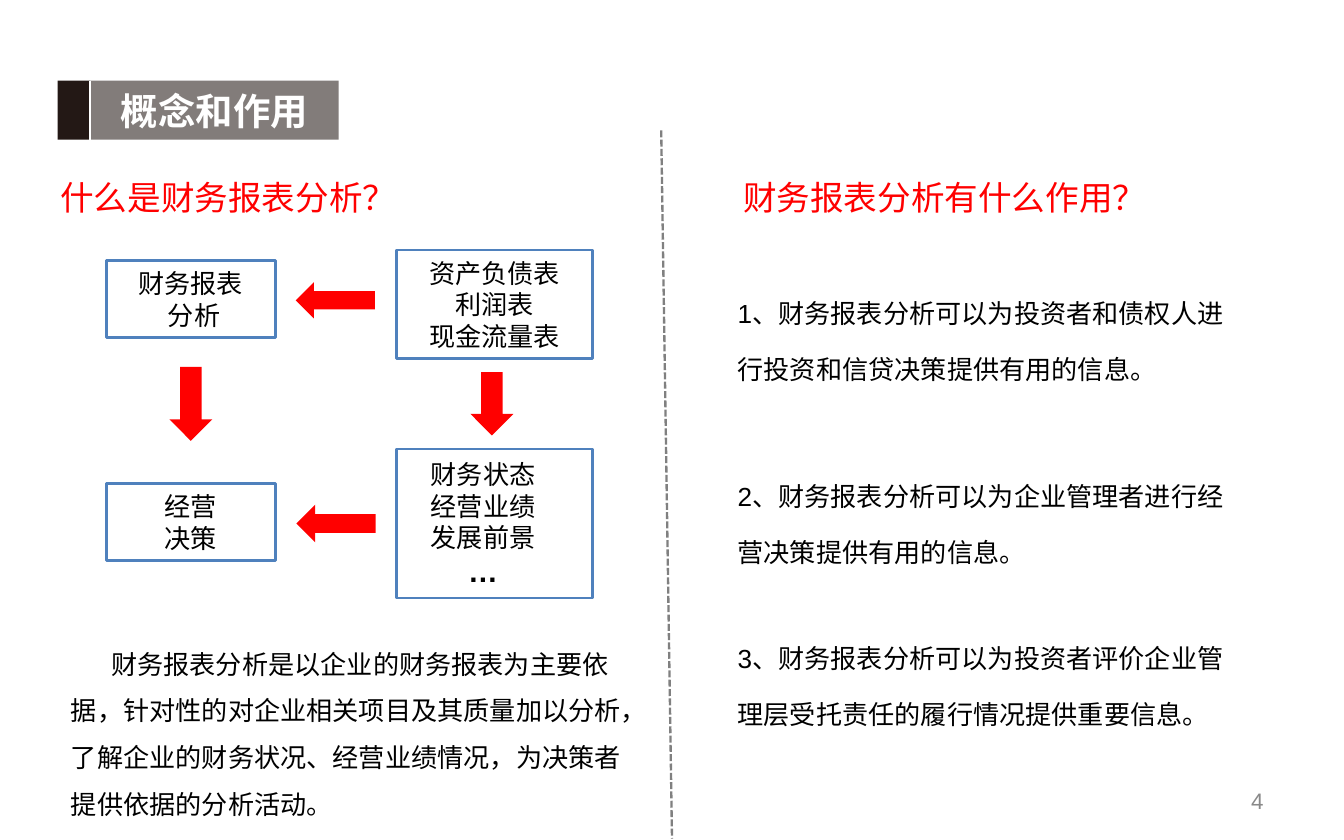
from lxml.etree import SubElement
from pptx import Presentation
from pptx.dml.color import RGBColor
from pptx.enum.dml import MSO_LINE as Dash
from pptx.enum.shapes import MSO_CONNECTOR as Connector, MSO_SHAPE as Shape
from pptx.enum.text import MSO_ANCHOR as Anchor, MSO_AUTO_SIZE as AutoSize, PP_ALIGN as Align
from pptx.oxml.ns import qn
from pptx.util import Inches, Pt

WHITE = RGBColor(0xFF, 0xFF, 0xFF)
BLACK = RGBColor(0x00, 0x00, 0x00)
RED = RGBColor(0xFF, 0x00, 0x00)
BLUE = RGBColor(0x4F, 0x81, 0xBD)
TAUPE = RGBColor(0x82, 0x7C, 0x7A)
INK = RGBColor(0x23, 0x18, 0x15)
GRAY = RGBColor(0x80, 0x80, 0x80)
PAGE_GRAY = RGBColor(0x89, 0x89, 0x89)


def write(frame, text, size=14, color=BLACK, font="Arial", bold=False, align=Align.LEFT,
          anchor=Anchor.TOP, spacing=None, first_indent=0, grow=True):
    """Fill a text frame with one paragraph per line of text."""
    frame.word_wrap = True
    frame.auto_size = AutoSize.SHAPE_TO_FIT_TEXT if grow else AutoSize.NONE
    frame.vertical_anchor = anchor
    for number, line in enumerate(text.split("\n")):
        paragraph = frame.add_paragraph() if number else frame.paragraphs[0]
        paragraph.alignment = align
        if spacing:
            paragraph.line_spacing = Pt(spacing)
        if first_indent:
            paragraph._p.get_or_add_pPr().set("indent", str(Inches(first_indent)))
        run = paragraph.add_run()
        run.text = line
        run.font.size, run.font.name, run.font.bold = Pt(size), font, bold
        run.font.color.rgb = color
    return frame


def add_text(slide, box, text, **style):
    """Place a text box in the given box."""
    return write(slide.shapes.add_textbox(*map(Inches, box)).text_frame, text, **style)


def add_block(slide, kind, box, fill=None, outline=None):
    """Place a filled or outlined preset shape."""
    block = slide.shapes.add_shape(kind, *map(Inches, box))
    block.shadow.inherit = False
    if fill is None:
        block.fill.background()
    else:
        block.fill.solid()
        block.fill.fore_color.rgb = fill
    if outline is None:
        block.line.fill.background()
    else:
        block.line.color.rgb = outline
        block.line.width = Pt(1.5)
    return block


def add_rule(slide, start, end, color, width, dash=None):
    """Draw a straight line without a shadow."""
    rule = slide.shapes.add_connector(Connector.STRAIGHT, *map(Inches, start + end))
    rule.line.color.rgb = color
    rule.line.width = Pt(width)
    if dash:
        rule.line.dash_style = dash
    SubElement(rule._element.spPr, qn("a:effectLst"))


def add_title(slide, left, top, width, height):
    """Build the title bar with its dark tab."""
    tab = 0.24
    bar = add_block(slide, Shape.RECTANGLE, (left + tab, top, width - tab, height), TAUPE)
    bar.text_frame.margin_left = Inches(0.23)
    write(bar.text_frame, "概念和作用", size=20, color=WHITE, font="Calibri", bold=True,
          anchor=Anchor.MIDDLE)
    add_block(slide, Shape.RECTANGLE, (left, top, tab, height), INK)
    add_rule(slide, (left + tab, top), (left + tab, top + height), WHITE, 0.75)


def add_flow(slide, left, top):
    """Build the four boxes and the arrows between them."""
    steps = [
        ((0, 0.08, 1.26, 0.57), "财务报表\n分析"),
        ((0, 1.74, 1.26, 0.57), "经营\n决策"),
        ((2.16, 0, 1.46, 0.81), "资产负债表\n利润表\n现金流量表"),
        ((2.16, 1.48, 1.46, 1.11), "财务状态\n经营业绩\n发展前景\n…"),
    ]
    frames = []
    for (x, y, width, height), text in steps:
        step = add_block(slide, Shape.RECTANGLE, (left + x, top + y, width, height), outline=BLUE)
        frames.append(write(step.text_frame, text, align=Align.CENTER, anchor=Anchor.MIDDLE))
    analysis, _, _, outlook = frames
    analysis.paragraphs[1]._p.get_or_add_pPr().set("marL", str(Inches(0.05)))
    outlook.paragraphs[0]._p.get_or_add_pPr().set("marR", str(Inches(0.17)))
    ellipsis = outlook.paragraphs[-1].runs[0].font
    ellipsis.size, ellipsis.bold = Pt(16), True

    arrows = [
        ((0.47, 0.87, 0.32, 0.55), 0),
        ((1.57, 0.08, 0.27, 0.59), 90),
        ((1.57, 1.74, 0.28, 0.59), 90),
        ((2.71, 0.91, 0.32, 0.47), 0),
    ]
    for (x, y, width, height), turn in arrows:
        arrow = add_block(slide, Shape.DOWN_ARROW, (left + x, top + y, width, height), RED)
        arrow.rotation = turn


def add_concept(slide, left, top):
    """Build the left column: question, flow and definition."""
    add_text(slide, (left, top, 2.6, 0.4), "什么是财务报表分析？", size=18, color=RED)
    add_flow(slide, left + 0.44, top + 0.59)
    add_text(slide, (left + 0.08, top + 3.39, 4.33, 1.46),
             "财务报表分析是以企业的财务报表为主要依据，针对性的对企业相关项目及其质量加以分析，"
             "了解企业的财务状况、经营业绩情况，为决策者提供依据的分析活动。",
             spacing=25, first_indent=0.3)


def add_uses(slide, left, top):
    """Build the right column: question and numbered answers."""
    add_text(slide, (left + 0.04, top, 3.11, 0.4), "财务报表分析有什么作用？", size=18, color=RED)
    answers = [
        (0.71, 0.88, "1、财务报表分析可以为投资者和债权人进行投资和信贷决策提供有用的信息。"),
        (2.07, 0.88, "2、财务报表分析可以为企业管理者进行经营决策提供有用的信息。"),
        (3.28, 0.94, "3、财务报表分析可以为投资者评价企业管理层受托责任的履行情况提供重要信息。"),
    ]
    for y, height, text in answers:
        add_text(slide, (left, top + y, 3.98, height), text, spacing=30)


def main():
    """Build and save the slide."""
    deck = Presentation()
    deck.slide_width, deck.slide_height = Inches(10), Inches(6.25)
    slide = deck.slides.add_slide(deck.slide_layouts[6])
    add_title(slide, 0.43, 0.6, 2.09, 0.44)
    add_concept(slide, 0.35, 1.27)
    add_rule(slide, (4.92, 0.97), (5, 6.24), GRAY, 1.25, Dash.SQUARE_DOT)
    add_uses(slide, 5.39, 1.27)
    add_text(slide, (7.17, 5.79, 2.33, 0.33), "4", size=12, color=PAGE_GRAY,
             align=Align.RIGHT, anchor=Anchor.MIDDLE, grow=False)
    deck.save("out.pptx")


if __name__ == "__main__":
    main()
